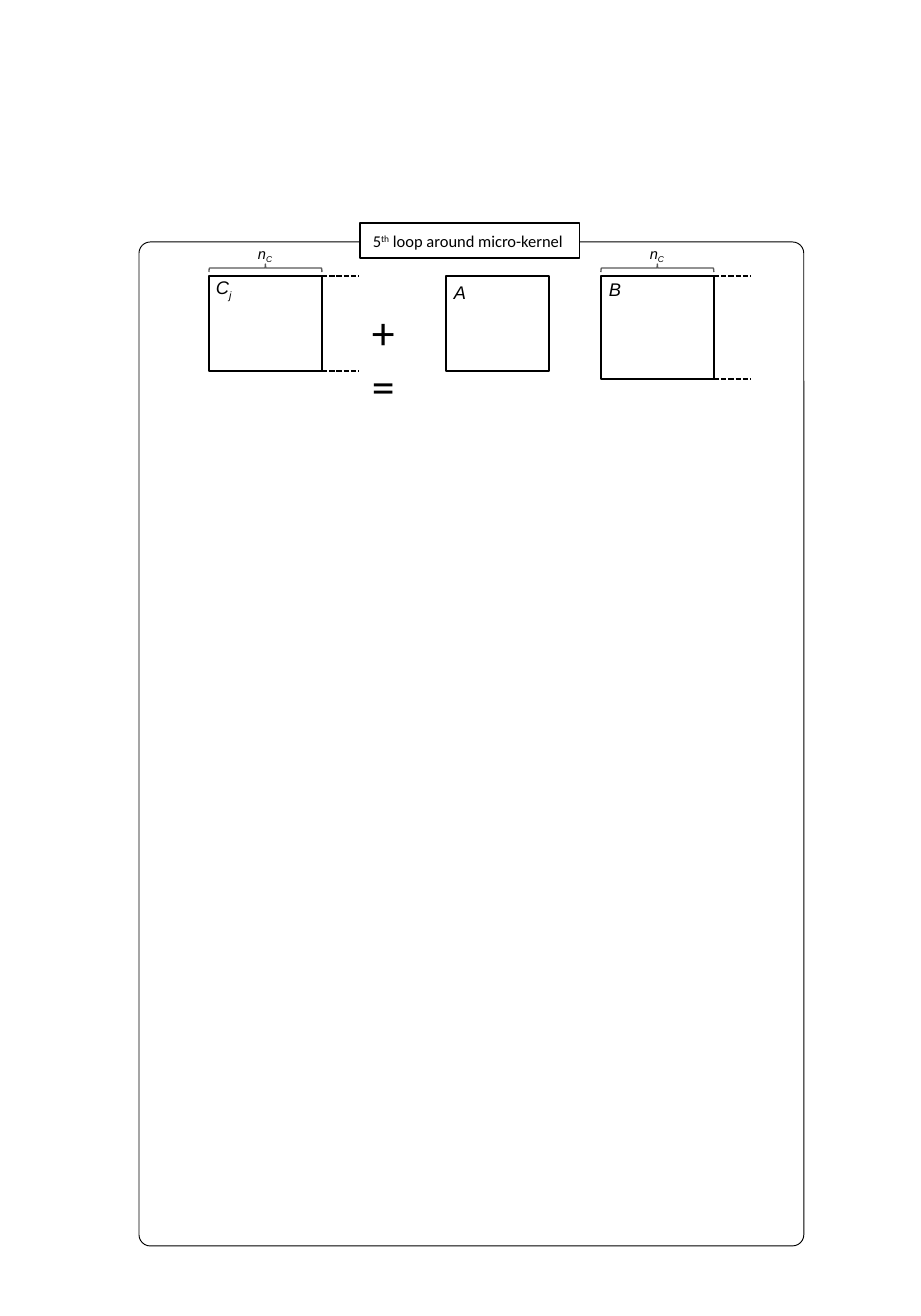
from lxml.etree import SubElement
from pptx import Presentation
from pptx.dml.color import RGBColor
from pptx.enum.dml import MSO_LINE
from pptx.enum.shapes import MSO_CONNECTOR, MSO_SHAPE
from pptx.enum.text import MSO_ANCHOR, PP_ALIGN
from pptx.oxml.ns import qn
from pptx.util import Inches, Pt

PIXEL = 914400 / 131.6
THEME = {
    "ink": RGBColor(0, 0, 0),
    "paper": RGBColor(255, 255, 255),
    "brace": RGBColor(0x59, 0x59, 0x59),
    "sans": "Calibri", "math": "Arial",
    "operator": 25, "matrix": 10, "loop": 9, "size": 8,
    "frame_line": 0.5, "thin_line": 0.75, "matrix_line": 1,
}

# Text runs are (text, baseline shift in percent); boxes are left, top, width, height.
FRAME = (139, 242, 665, 1004)
LOOP_BOX = (360, 223, 220, 35)
LOOP_LABEL = [("5", 0), ("th", 30), (" loop around micro-kernel", 0)]
OPERATOR_BOX = (359, 297, 60, 53)
OPERATOR = [("+=", 0)]
COLUMN_COUNT = [("n", 0), ("C", -25)]
MATRICES = [
    {"name": [("A", 0)], "box": (446, 276, 103, 95),
     "name_box": (441, 275, 41, 36), "partitioned": False},
    {"name": [("B", 0)], "box": (601, 276, 113, 103),
     "name_box": (596, 272, 40, 36), "partitioned": True},
    {"name": [("C", 0), ("j", -25)], "box": (209, 276, 113, 95),
     "name_box": (203, 270, 45, 36), "partitioned": True},
]
DASH_LENGTH = 37
BRACE_DEPTH = 8
BRACE_CENTER = 268
COUNT_TOP, COUNT_SHIFT, COUNT_WIDTH, COUNT_HEIGHT = 238, 36, 43, 32


def emu(*pixels):
    """Turn pixel lengths into EMU."""
    return [round(length * PIXEL) for length in pixels]


def add_outline(slide, kind, box, width, color=THEME["ink"], filled=False):
    """Add a preset shape with a line and an optional white fill."""
    shape = slide.shapes.add_shape(kind, *emu(*box))
    shape.shadow.inherit = False
    if filled:
        shape.fill.solid()
        shape.fill.fore_color.rgb = THEME["paper"]
    else:
        shape.fill.background()
    shape.line.color.rgb = color
    shape.line.width = Pt(width)
    return shape


def write(shape, runs, font, size, italic=False, wrap=True, anchor=MSO_ANCHOR.TOP):
    """Write left-aligned runs with their baseline shifts into a shape."""
    frame = shape.text_frame
    frame.word_wrap = wrap
    frame.vertical_anchor = anchor
    paragraph = frame.paragraphs[0]
    paragraph.alignment = PP_ALIGN.LEFT
    for text, shift in runs:
        run = paragraph.add_run()
        run.text = text
        run.font.name = font
        run.font.size = Pt(size)
        run.font.italic = italic
        run.font.color.rgb = THEME["ink"]
        if shift:
            run.font._element.set("baseline", str(shift * 1000))


def add_label(slide, box, runs, font, size, **options):
    """Add a text box with formatted runs."""
    write(slide.shapes.add_textbox(*emu(*box)), runs, font, size, **options)


def add_dash(slide, left, top):
    """Add a dashed line that continues a matrix edge to the right."""
    connector = slide.shapes.add_connector(
        MSO_CONNECTOR.STRAIGHT, *emu(left, top, left + DASH_LENGTH, top))
    connector.line.color.rgb = THEME["ink"]
    connector.line.width = Pt(THEME["matrix_line"])
    connector.line.dash_style = MSO_LINE.SQUARE_DOT
    SubElement(connector._element.spPr, qn("a:effectLst"))


def add_column_count(slide, left, width):
    """Add an upward brace over a matrix and its column count."""
    center = left + width / 2
    brace_box = (center - BRACE_DEPTH / 2, BRACE_CENTER - width / 2, BRACE_DEPTH, width)
    brace = add_outline(slide, MSO_SHAPE.RIGHT_BRACE, brace_box,
                        THEME["thin_line"], THEME["brace"])
    brace.rotation = 270
    add_label(slide, (left + COUNT_SHIFT, COUNT_TOP, COUNT_WIDTH, COUNT_HEIGHT),
              COLUMN_COUNT, THEME["math"], THEME["size"], italic=True)


def add_matrix(slide, matrix):
    """Add a matrix with its name and, if partitioned, dashes and a brace."""
    left, top, width, height = matrix["box"]
    add_outline(slide, MSO_SHAPE.RECTANGLE, matrix["box"],
                THEME["matrix_line"], filled=True)
    if matrix["partitioned"]:
        for edge in (top, top + height):
            add_dash(slide, left + width, edge)
        add_column_count(slide, left, width)
    add_label(slide, matrix["name_box"], matrix["name"], THEME["math"],
              THEME["matrix"], italic=True, wrap=False)


def main():
    """Build the slide and save it."""
    presentation = Presentation()
    presentation.slide_width, presentation.slide_height = Inches(7), Inches(10)
    slide = presentation.slides.add_slide(presentation.slide_layouts[6])

    add_label(slide, OPERATOR_BOX, OPERATOR, THEME["sans"], THEME["operator"])
    frame = add_outline(slide, MSO_SHAPE.ROUNDED_RECTANGLE, FRAME, THEME["frame_line"])
    frame.adjustments[0] = 0.017
    loop = add_outline(slide, MSO_SHAPE.RECTANGLE, LOOP_BOX,
                       THEME["thin_line"], filled=True)
    write(loop, LOOP_LABEL, THEME["sans"], THEME["loop"], anchor=MSO_ANCHOR.MIDDLE)
    for matrix in MATRICES:
        add_matrix(slide, matrix)
    presentation.save("out.pptx")


main()
